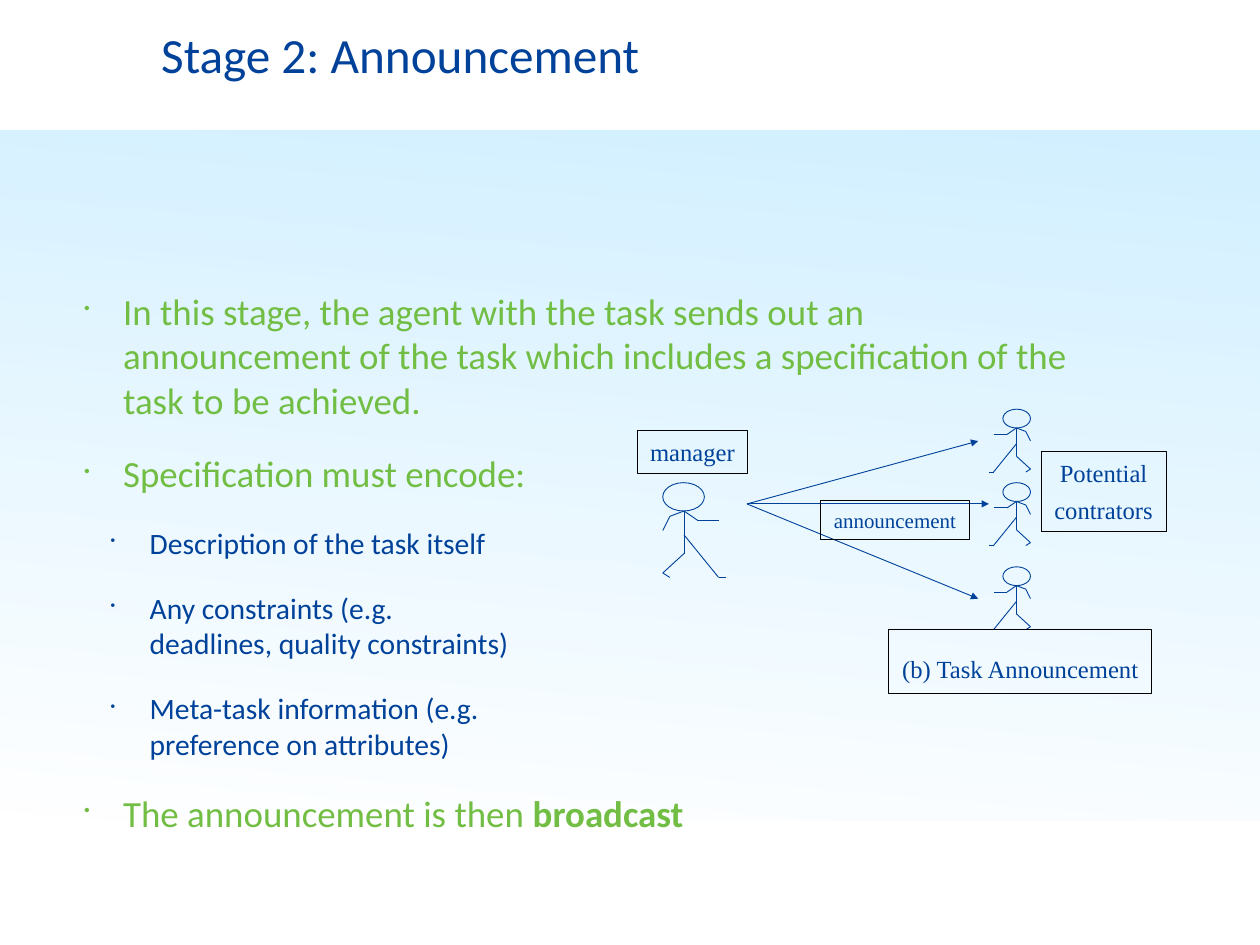
import itertools

import lxml.etree
import pptx
import pptx.dml.color
import pptx.enum.dml
import pptx.enum.shapes
import pptx.enum.text
import pptx.oxml.ns
import pptx.util

PX = 9144
COLORS = {"blue": "00429A", "green": "72BE44", "black": "000000", "sky": "66CCFF", "white": "FFFFFF"}
SHAPE = pptx.enum.shapes.MSO_SHAPE
ANCHOR = pptx.enum.text.MSO_ANCHOR
ALIGN = pptx.enum.text.PP_ALIGN
qn = pptx.oxml.ns.qn

FIGURE_WIDTH, FIGURE_HEIGHT = 71, 107
HEAD = (0, 0, 47, 32)
LIMBS = [
    [(24, 32), (24, 59), (24, 80), (0, 102), (8, 107)],
    [(24, 59), (63, 107), (71, 107)],
    [(24, 32), (8, 38), (0, 54)],
    [(24, 32), (40, 43), (63, 43)],
]
BODY = [
    (0, ["In this stage, the agent with the task sends out an announcement of the task "
         "which includes a specification of the task to be achieved."]),
    (0, ["Specification must encode:"]),
    (1, ["Description of the task itself"]),
    (1, ["Any constraints (e.g.\ndeadlines, quality constraints)"]),
    (1, ["Meta-task information (e.g.\npreference on attributes)"]),
    (0, ["The announcement is then ", "broadcast"]),
]
LEVELS = [
    {"size": 30, "color": "green", "margin": 44},
    {"size": 24, "color": "blue", "margin": 74},
]


def px(*lengths):
    return [round(length * PX) for length in lengths]


def rgb(name):
    return pptx.dml.color.RGBColor.from_string(COLORS[name])


def set_values(target, values):
    for name, value in values.items():
        setattr(target, name, value)


def set_font(paragraph, name, size, color):
    for run in paragraph.runs:
        set_values(run.font, {"name": name, "size": pptx.util.Pt(size)})
        run.font.color.rgb = rgb(color)


def set_line(shape, color):
    shape.line.width = pptx.util.Pt(0.75)
    shape.line.color.rgb = rgb(color)


def set_frame(frame, insets, wrap, anchor):
    names = ["margin_left", "margin_top", "margin_right", "margin_bottom"]
    set_values(frame, dict(zip(names, px(*insets))))
    set_values(frame, {"word_wrap": wrap, "vertical_anchor": anchor})


def add_outline(shapes, kind, box, color):
    shape = shapes.add_shape(kind, *px(*box))
    shape.shadow.inherit = False
    shape.fill.background()
    set_line(shape, color)
    return shape


def add_line(shapes, start, end, arrow=False):
    straight = pptx.enum.shapes.MSO_CONNECTOR.STRAIGHT
    connector = shapes.add_connector(straight, *px(*start, *end))
    set_line(connector, "blue")
    if arrow:
        line = connector.line._get_or_add_ln()
        lxml.etree.SubElement(line, qn("a:tailEnd"), type="triangle")
    lxml.etree.SubElement(connector._element.spPr, qn("a:effectLst"))


def add_background(slide, box):
    band = slide.shapes.add_shape(SHAPE.RECTANGLE, *px(*box))
    band.shadow.inherit = False
    band.line.fill.background()
    band.fill.gradient()
    band.fill.gradient_angle = 265
    for stop, position, color in zip(band.fill.gradient_stops, (0, 1), ("sky", "white")):
        stop.position = position
        stop.color.rgb = rgb(color)
    for color in band._element.spPr.iter(qn("a:srgbClr")):
        lxml.etree.SubElement(color, qn("a:alpha"), val="30000")


def add_title(slide, box):
    frame = slide.shapes.add_textbox(*px(*box)).text_frame
    set_frame(frame, (6, 6, 6, 6), True, ANCHOR.TOP)
    frame.text = "Stage 2: Announcement"
    set_font(frame.paragraphs[0], "Calibri", 40, "blue")


def add_body(slide, box):
    frame = slide.shapes.add_textbox(*px(*box)).text_frame
    set_frame(frame, (6, 6, 6, 6), True, ANCHOR.TOP)
    for index, (depth, parts) in enumerate(BODY):
        paragraph = frame.add_paragraph() if index else frame.paragraphs[0]
        level = LEVELS[depth]
        properties = paragraph._p.get_or_add_pPr()
        properties.set("marL", str(level["margin"] * PX))
        properties.set("indent", str(-44 * PX))
        set_values(paragraph, {"level": depth, "space_before": pptx.util.Pt(24 if index else 0)})
        lxml.etree.SubElement(properties, qn("a:buSzPct"), val="46000")
        lxml.etree.SubElement(properties, qn("a:buChar"), char="•")
        paragraph.text = parts[0]
        for emphasis in parts[1:]:
            run = paragraph.add_run()
            run.text = emphasis
            run.font.bold = True
        set_font(paragraph, "Calibri", level["size"], level["color"])


def add_figure(slide, box, mirrored):
    left, top, width, height = box
    across, down = width / FIGURE_WIDTH, height / FIGURE_HEIGHT
    shapes = slide.shapes.add_group_shape().shapes

    def place(point):
        x = FIGURE_WIDTH - point[0] if mirrored else point[0]
        return left + x * across, top + point[1] * down

    head_x, head_y, head_width, head_height = HEAD
    corner = place((head_x + head_width if mirrored else head_x, head_y))
    add_outline(shapes, SHAPE.OVAL, (*corner, head_width * across, head_height * down), "blue")
    for limb in LIMBS:
        for start, end in itertools.pairwise(limb):
            add_line(shapes, place(start), place(end))


def add_label(slide, box, lines, size=20, anchor=ANCHOR.MIDDLE, bottom=7):
    frame = add_outline(slide.shapes, SHAPE.RECTANGLE, box, "black").text_frame
    set_frame(frame, (14, 7, 14, bottom), False, anchor)
    for index, text in enumerate(lines):
        paragraph = frame.add_paragraph() if index else frame.paragraphs[0]
        paragraph.text = text
        set_values(paragraph, {"alignment": ALIGN.CENTER, "space_before": pptx.util.Pt(6 if index else 0)})
        set_font(paragraph, "Times New Roman", size, "blue")


def add_diagram(slide, box):
    left, top = box[:2]

    def inside(x, y, *extent):
        return left + x, top + y, *extent

    add_figure(slide, inside(29, 83, FIGURE_WIDTH, FIGURE_HEIGHT), False)
    for y in (0, 83, 178):
        add_figure(slide, inside(397, y, 47, 71), True)
    for end in ((385, 36), (397, 107), (385, 214)):
        add_line(slide.shapes, inside(124, 107), inside(*end), arrow=True)
    add_label(slide, inside(0, 24, 125, 49), ["manager"])
    add_label(slide, inside(456, 48, 141, 90), ["Potential", "contrators"])
    add_label(slide, inside(207, 103, 168, 44), ["announcement"], size=17)
    add_label(slide, inside(284, 249, 297, 72), ["(b) Task Announcement"], anchor=ANCHOR.BOTTOM, bottom=11)


def main():
    presentation = pptx.Presentation()
    presentation.slide_width, presentation.slide_height = px(1422, 1067)
    slide = presentation.slides.add_slide(presentation.slide_layouts[6])
    add_background(slide, (0, 147, 1422, 780))
    add_title(slide, (176, 21, 1153, 165))
    add_body(slide, (89, 320, 1153, 725))
    add_diagram(slide, (719, 462, 597, 321))
    presentation.save("out.pptx")


if __name__ == "__main__":
    main()
